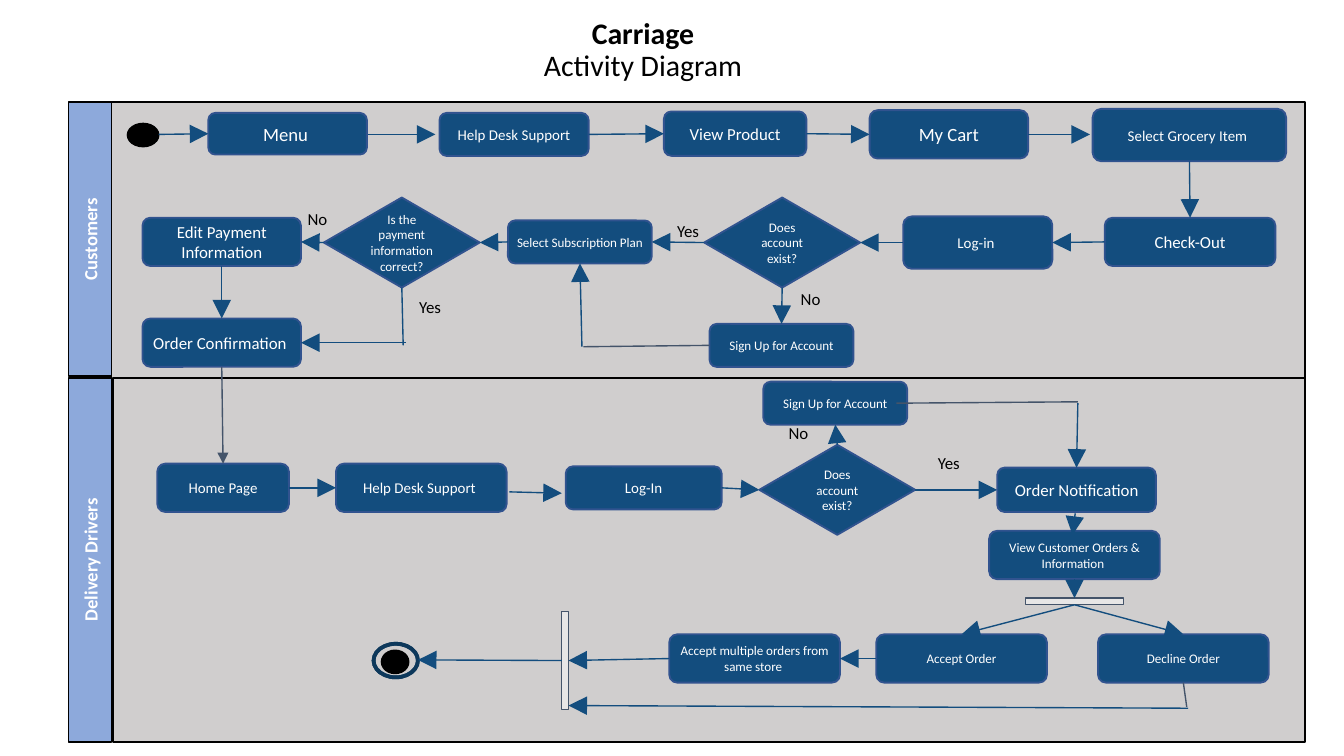
from dataclasses import dataclass

from lxml.etree import SubElement
from pptx import Presentation
from pptx.dml.color import RGBColor
from pptx.enum.shapes import MSO_CONNECTOR, MSO_SHAPE
from pptx.enum.text import MSO_ANCHOR, MSO_AUTO_SIZE, PP_ALIGN
from pptx.oxml.ns import qn
from pptx.util import Inches, Pt


@dataclass(frozen=True)
class Theme:
    font: str = "Calibri"
    black: str = "000000"
    white: str = "FFFFFF"
    lane: str = "D0CECE"
    lane_header: str = "8DA9DB"
    node: str = "134D7E"
    node_line: str = "31538F"
    end_ring: str = "0D385B"
    bar: str = "E7E6E6"
    slate: str = "44546A"
    title_size: int = 16
    large: int = 10
    medium: int = 9
    small: int = 8
    tiny: int = 7


THEME = Theme()
TOP, LEFT, BOTTOM, RIGHT = range(4)  # connection sites of boxes and diamonds
BOX, DIAMOND = MSO_SHAPE.ROUNDED_RECTANGLE, MSO_SHAPE.DIAMOND

# Heading, left, top, width, height, heading height
LANES = [("Customers", 0.83, 0.76, 8.88, 2.06, 2.04),
         ("Delivery Drivers", 0.84, 2.81, 8.87, 2.71, 2.71)]

# Key: (text, left, top, width, height, text size, kind)
NODES = {
    # Customers
    "menu": ("Menu ", 1.55, 0.84, 1.18, 0.31, THEME.large, BOX),
    "support": ("Help Desk Support", 3.27, 0.84, 1.11, 0.32, THEME.small, BOX),
    "product": ("View Product", 4.94, 0.83, 1.06, 0.33, THEME.medium, BOX),
    "cart": ("My Cart", 6.47, 0.82, 1.18, 0.36, THEME.large, BOX),
    "item": ("Select Grocery Item ", 8.13, 0.81, 1.44, 0.39, THEME.small, BOX),
    "checkout": ("Check-Out", 8.22, 1.62, 1.27, 0.36, THEME.medium, BOX),
    "login": ("Log-in ", 6.72, 1.61, 1.11, 0.39, THEME.small, BOX),
    "account": ("Does account exist?", 5.24, 1.47, 1.16, 0.67, THEME.tiny, DIAMOND),
    "sign up": ("Sign Up for Account", 5.28, 2.41, 1.07, 0.32, THEME.tiny, BOX),
    "plan": ("Select Subscription Plan", 3.78, 1.64, 1.07, 0.32, THEME.tiny, BOX),
    "payment": ("Is the payment information correct?",
                2.41, 1.47, 1.16, 0.67, THEME.tiny, DIAMOND),
    "edit": ("Edit Payment Information", 1.06, 1.62, 1.18, 0.36, THEME.medium, BOX),
    "confirm": ("Order Confirmation ", 1.06, 2.37, 1.18, 0.36, THEME.medium, BOX),
    # Delivery drivers
    "home": ("Home Page", 1.17, 3.45, 0.98, 0.36, THEME.small, BOX),
    "driver support": ("Help Desk Support ", 2.5, 3.45, 1.27, 0.36, THEME.small, BOX),
    "driver login": ("Log-In", 4.21, 3.47, 1.16, 0.32, THEME.small, BOX),
    "driver account": ("Does account exist?",
                       5.65, 3.31, 1.16, 0.67, THEME.tiny, DIAMOND),
    "driver sign up": ("Sign Up for Account",
                       5.68, 2.84, 1.07, 0.32, THEME.tiny, BOX),
    "notice": ("Order Notification", 7.42, 3.48, 1.18, 0.33, THEME.medium, BOX),
    "orders": ("View Customer Orders & Information ",
               7.36, 3.95, 1.27, 0.36, THEME.tiny, BOX),
    "accept": ("Accept Order", 6.52, 4.72, 1.27, 0.36, THEME.tiny, BOX),
    "decline": ("Decline Order", 8.17, 4.72, 1.27, 0.36, THEME.tiny, BOX),
    "multiple": ("Accept multiple orders from same store ",
                 4.98, 4.72, 1.27, 0.36, THEME.tiny, BOX),
}

BARS = {"fork": (7.63, 4.45, 0.73, 0.05), "join": (4.18, 4.55, 0.05, 0.73)}

# Each end is a (key, site) of a node or an (x, y) point
ARROWS = [
    ((1.18, 1), ("menu", LEFT)),
    ((2.74, 1), (3.24, 1)),
    (("support", RIGHT), ("product", LEFT)),
    (("product", RIGHT), ("cart", LEFT)),
    (("cart", RIGHT), (8.11, 1)),
    (("item", BOTTOM), ("checkout", TOP)),
    (("checkout", LEFT), ("login", RIGHT)),
    (("login", LEFT), ("account", RIGHT)),
    (("account", BOTTOM), ("sign up", TOP)),
    (("account", LEFT), ("plan", RIGHT)),
    ((4.33, 2.58), ("plan", BOTTOM)),
    (("plan", LEFT), ("payment", RIGHT)),
    (("payment", LEFT), ("edit", RIGHT)),
    (("edit", BOTTOM), ("confirm", TOP)),
    ((3.02, 2.55), ("confirm", RIGHT)),
    (("home", RIGHT), ("driver support", LEFT)),
    ((3.79, 3.66), (4.18, 3.67)),
    (("driver login", RIGHT), ("driver account", LEFT)),
    (("driver account", TOP), ("driver sign up", BOTTOM)),
    (("driver account", RIGHT), ("notice", LEFT)),
    ((8.02, 3), ("notice", TOP)),
    ((8, 3.82), (7.98, 3.98)),
    (("orders", BOTTOM), ("fork", TOP)),
    (("fork", BOTTOM), ("accept", TOP)),
    (("fork", BOTTOM), ("decline", TOP)),
    (("accept", LEFT), ("multiple", RIGHT)),
    (("multiple", LEFT), ("join", RIGHT)),
    ((8.84, 5.27), (4.23, 5.25)),
    (("join", LEFT), (3.11, 4.91)),
]

# First legs of the bent flows: start, end, colour
LEGS = [
    (("payment", BOTTOM), (3, 2.57), THEME.node),
    (("sign up", LEFT), (4.34, 2.58), THEME.slate),
    ((8.02, 2.99), (6.67, 3), THEME.slate),
    (("decline", BOTTOM), (8.83, 5.26), THEME.slate),
]

# Text, left, top
BRANCHES = [("Yes", 4.94, 1.57), ("No", 5.86, 2.07), ("Yes", 6.88, 3.29),
            ("No", 5.77, 3.07), ("Yes", 3.02, 2.13), ("No", 2.19, 1.48)]


def style_text(para, size, color, bold=False):
    for span in para.runs:
        span.font.name = THEME.font
        span.font.size = Pt(size)
        span.font.bold = bold
        span.font.color.rgb = RGBColor.from_string(color)


def add_box(page, kind, bounds, fill, line, line_width=1.0):
    box = page.shapes.add_shape(kind, *map(Inches, bounds))
    box.shadow.inherit = False
    box.fill.solid()
    box.fill.fore_color.rgb = RGBColor.from_string(fill)
    box.line.color.rgb = RGBColor.from_string(line)
    box.line.width = Pt(line_width)
    return box


def add_caption(box, text, size, bold=False):
    frame = box.text_frame
    frame.word_wrap = True
    frame.vertical_anchor = MSO_ANCHOR.MIDDLE
    frame.margin_left = frame.margin_right = Inches(0.05)
    frame.margin_top = frame.margin_bottom = Inches(0.03)
    frame.text = text
    frame.paragraphs[0].alignment = PP_ALIGN.CENTER
    style_text(frame.paragraphs[0], size, THEME.white, bold)


def add_title(page):
    title = page.shapes.title
    title.left, title.top = Inches(2.43), Inches(-0.08)
    title.width, title.height = Inches(4.76), Inches(0.73)
    frame = title.text_frame
    frame.auto_size = MSO_AUTO_SIZE.NONE
    frame.vertical_anchor = MSO_ANCHOR.BOTTOM
    frame.margin_left = frame.margin_right = Inches(0.07)
    frame.margin_top = frame.margin_bottom = Inches(0.03)
    frame.text = "Carriage \vActivity Diagram "
    para = frame.paragraphs[0]
    para.alignment = PP_ALIGN.CENTER
    para.line_spacing = 0.9
    para.space_before = Pt(0)
    style_text(para, THEME.title_size, THEME.black)
    para.runs[0].font.bold = True


def add_lane(page, heading, left, top, width, height, heading_height):
    add_box(page, MSO_SHAPE.RECTANGLE, (left, top, width, height),
            THEME.lane, THEME.black)
    # The heading is turned about its centre, so its width is the lane height
    bounds = (0.67 - heading_height / 2, top + heading_height / 2 - 0.16,
              heading_height, 0.32)
    header = add_box(page, MSO_SHAPE.RECTANGLE, bounds,
                     THEME.lane_header, THEME.black)
    header.rotation = 270
    add_caption(header, heading, THEME.large, bold=True)


def add_node(page, text, left, top, width, height, size, kind):
    node = add_box(page, kind, (left, top, width, height),
                   THEME.node, THEME.node_line)
    add_caption(node, text, size)
    return node


def add_flow(page, nodes, start, end, color=THEME.node, head="lg"):
    flow = page.shapes.add_connector(MSO_CONNECTOR.STRAIGHT, 0, 0, 0, 0)
    if start[0] in nodes:
        flow.begin_connect(nodes[start[0]], start[1])
    else:
        flow.begin_x, flow.begin_y = map(Inches, start)
    if end[0] in nodes:
        flow.end_connect(nodes[end[0]], end[1])
    else:
        flow.end_x, flow.end_y = map(Inches, end)
    flow.line.color.rgb = RGBColor.from_string(color)
    flow.line.width = Pt(0.75)
    if head:
        SubElement(flow.line._get_or_add_ln(), qn("a:tailEnd"),
                   type="triangle", w=head, len=head)
    SubElement(flow._element.spPr, qn("a:effectLst"))


def add_branch(page, text, left, top):
    box = page.shapes.add_textbox(*map(Inches, (left, top, 0.37, 0.35)))
    frame = box.text_frame
    frame.word_wrap = True
    frame.margin_left = frame.margin_top = frame.margin_bottom = Inches(0.1)
    frame.margin_right = 0
    frame.text = text
    style_text(frame.paragraphs[0], THEME.medium, THEME.black)


def add_terminals(page):
    for bounds in ((0.95, 0.92, 0.23, 0.17), (2.84, 4.84, 0.2, 0.17)):
        add_box(page, MSO_SHAPE.OVAL, bounds, THEME.black, THEME.black)
    ring = add_box(page, MSO_SHAPE.DONUT, (2.78, 4.79, 0.33, 0.25),
                   THEME.node, THEME.end_ring, 2)
    ring.adjustments[0] = 0


def main():
    deck = Presentation()
    deck.slide_width = Inches(10)
    deck.slide_height = deck.slide_width * 9 // 16
    page = deck.slides.add_slide(deck.slide_layouts[0])
    subtitle = page.placeholders[1].element
    subtitle.getparent().remove(subtitle)
    add_title(page)

    # Swimlanes with start and end points
    for lane in LANES:
        add_lane(page, *lane)
    add_terminals(page)

    # Activities, decisions, fork and join
    nodes = {key: add_node(page, *node) for key, node in NODES.items()}
    for key, bounds in BARS.items():
        nodes[key] = add_box(page, MSO_SHAPE.RECTANGLE, bounds,
                             THEME.bar, THEME.slate, 0.75)

    # Flows and branch labels
    for start, end, color in LEGS:
        add_flow(page, nodes, start, end, color, head=None)
    for start, end in ARROWS:
        add_flow(page, nodes, start, end)
    add_flow(page, nodes, ("confirm", BOTTOM), ("home", TOP), THEME.slate, "med")
    for branch in BRANCHES:
        add_branch(page, *branch)

    deck.save("out.pptx")


if __name__ == "__main__":
    main()
